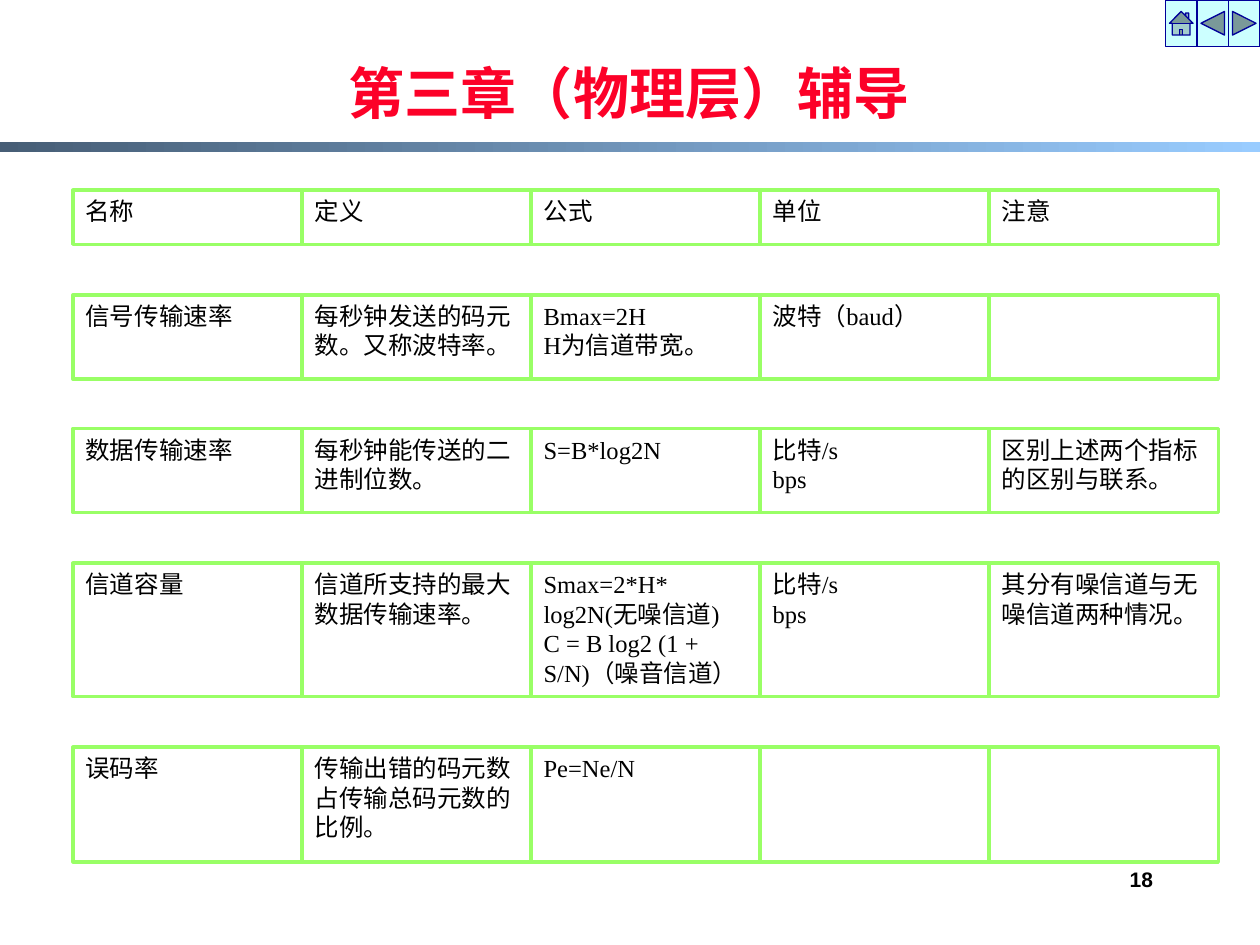
from pptx import Presentation
from pptx.dml.color import RGBColor
from pptx.enum.shapes import MSO_SHAPE
from pptx.enum.text import MSO_ANCHOR, MSO_AUTO_SIZE, PP_ALIGN
from pptx.util import Inches, Pt

RECTANGLE = MSO_SHAPE.RECTANGLE
NAVIGATION = [MSO_SHAPE.ACTION_BUTTON_HOME,
              MSO_SHAPE.ACTION_BUTTON_BACK_OR_PREVIOUS,
              MSO_SHAPE.ACTION_BUTTON_FORWARD_OR_NEXT]
LEFT, CENTER, RIGHT = PP_ALIGN.LEFT, PP_ALIGN.CENTER, PP_ALIGN.RIGHT
TOP, BOTTOM = MSO_ANCHOR.TOP, MSO_ANCHOR.BOTTOM
NO_AUTOFIT = MSO_AUTO_SIZE.NONE


def rgb(value):
    return RGBColor.from_string(value)


def write(shape, text, size=14, font="Times New Roman", color="000000",
          bold=False, align=LEFT, anchor=TOP, line_spacing=None):
    """Fill the shape with text, one paragraph for each line."""
    frame = shape.text_frame
    frame.word_wrap = True
    frame.auto_size = NO_AUTOFIT
    frame.vertical_anchor = anchor
    frame.text = text
    for paragraph in frame.paragraphs:
        paragraph.alignment = align
        paragraph.line_spacing = line_spacing
        paragraph.font.size = Pt(size)
        paragraph.font.name = font
        paragraph.font.bold = bold
        paragraph.font.color.rgb = rgb(color)


prs = Presentation()
prs.slide_width, prs.slide_height = Inches(10), Inches(7.5)
slide = prs.slides.add_slide(prs.slide_layouts[5])
shapes = slide.shapes

# Title and the gradient rule below it
title = shapes.title
title.left, title.top = Inches(1.08), Inches(0.13)
title.width, title.height = Inches(7.83), Inches(0.92)
write(title, "第三章（物理层）辅导", size=32, font="Arial", color="FC0128",
      bold=True, align=CENTER, anchor=BOTTOM, line_spacing=1.5)

rule = shapes.add_shape(RECTANGLE, 0, Inches(1.13), Inches(10), Inches(0.08))
rule.shadow.inherit = False
rule.line.fill.background()
rule.fill.gradient()
rule.fill.gradient_angle = 0
for stop, color in zip(rule.fill.gradient_stops, ["475E76", "99CCFF"]):
    stop.color.rgb = rgb(color)

# Navigation buttons in the top right corner
for i, kind in enumerate(NAVIGATION):
    button = shapes.add_shape(kind, Inches(9.25 + 0.25 * i), 0,
                              Inches(0.25), Inches(0.37))
    button.shadow.inherit = False
    button.fill.solid()
    button.fill.fore_color.rgb = rgb("CCFFFF")
    button.line.color.rgb = rgb("000099")
    button.line.width = Pt(0.75)

# Rows of boxes, each row set apart from the next: top, height, texts
rows = [
    (1.51, 0.43, ["名称", "定义", "公式", "单位", "注意"]),
    (2.34, 0.67, ["信号传输速率", "每秒钟发送的码元数。又称波特率。",
                  "Bmax=2H\nH为信道带宽。", "波特（baud）", ""]),
    (3.4, 0.67, ["数据传输速率", "每秒钟能传送的二进制位数。", "S=B*log2N",
                 "比特/s\nbps", "区别上述两个指标的区别与联系。"]),
    (4.47, 1.06, ["信道容量", "信道所支持的最大数据传输速率。",
                  "Smax=2*H* log2N(无噪信道)\nC = B log2 (1 + S/N)（噪音信道）",
                  "比特/s\nbps", "其分有噪信道与无噪信道两种情况。"]),
    (5.93, 0.91, ["误码率", "传输出错的码元数占传输总码元数的比例。",
                  "Pe=Ne/N", "", ""]),
]
left, right = Inches(0.58), Inches(9.67)
column_width = (right - left) // 5
for top, height, texts in rows:
    for column, text in enumerate(texts):
        cell = shapes.add_shape(RECTANGLE, left + column * column_width,
                                Inches(top), column_width, Inches(height))
        cell.shadow.inherit = False
        cell.fill.background()
        cell.line.color.rgb = rgb("99FF66")
        cell.line.width = Pt(2)
        if text:
            write(cell, text)

page_number = shapes.add_textbox(Inches(7.17), Inches(6.83),
                                 Inches(2.08), Inches(0.5))
write(page_number, "18", size=12, font="Arial", bold=True, align=RIGHT)

prs.save("out.pptx")
